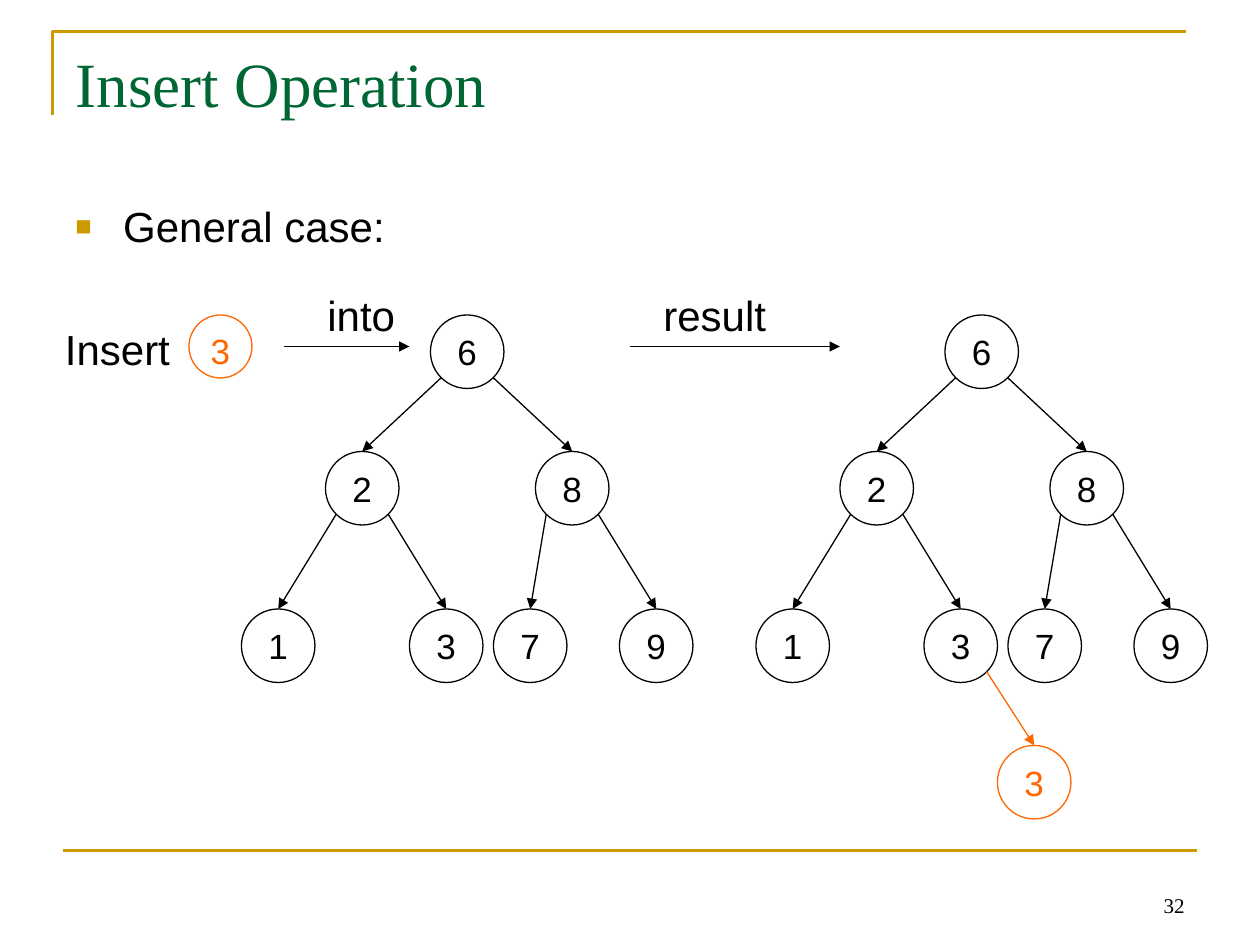
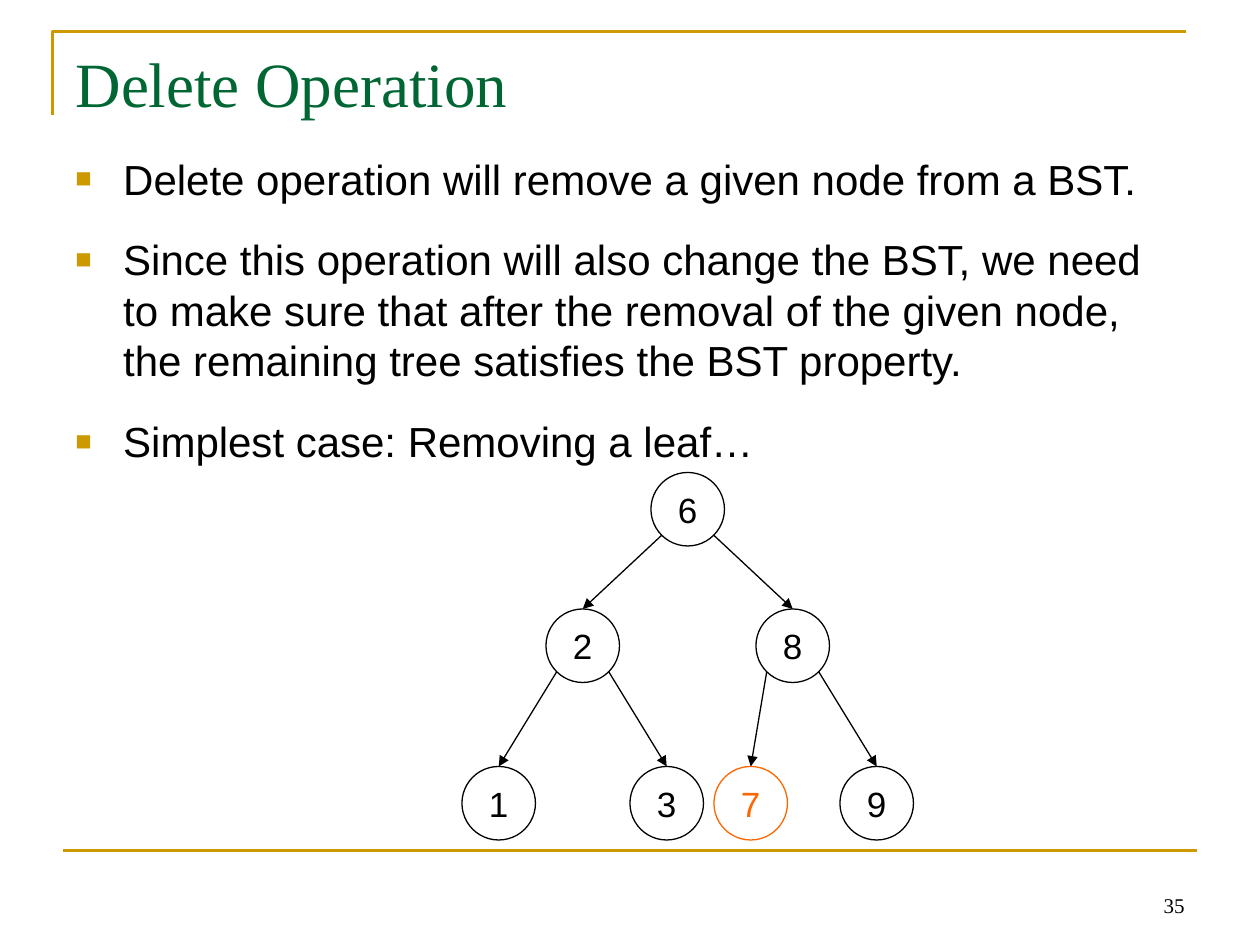
from math import sqrt
from typing import NamedTuple

from lxml import etree
from pptx import Presentation
from pptx.dml.color import RGBColor
from pptx.enum.shapes import MSO_CONNECTOR, MSO_SHAPE
from pptx.enum.text import MSO_ANCHOR, PP_ALIGN
from pptx.oxml.ns import qn
from pptx.util import Inches, Pt

# The slide is a grid of 120 columns and 90 rows, twelve to the inch.
CELL = Inches(1) // 12
COLUMNS, ROWS = 120, 90

GOLD = RGBColor(0xCC, 0x99, 0x00)
GREEN = RGBColor(0x00, 0x66, 0x33)
ORANGE = RGBColor(0xFF, 0x66, 0x00)
BLACK = RGBColor(0, 0, 0)
SANS, SERIF = "Arial", "Times New Roman"

NODE_SIZE = 7
BULLET_INDENT = Inches(0.38)


class Node(NamedTuple):
    """A tree node, placed in cells from the root; parent is an index."""
    value: str
    column: int
    row: int
    parent: int | None
    color: RGBColor = BLACK
    edge_color: RGBColor = BLACK


class Label(NamedTuple):
    text: str
    column: float
    row: float
    width: float


TREE = [
    Node("6", 0, 0, None),
    Node("2", -10, 13, 0),
    Node("8", 10, 13, 0),
    Node("1", -18, 28, 1),
    Node("3", -2, 28, 1),
    Node("7", 6, 28, 2),
    Node("9", 18, 28, 2),
]
INSERTED_TREE = TREE + [Node("3", 5, 41, 4, ORANGE, ORANGE)]
DELETED_TREE = [node._replace(color=ORANGE) if node.value == "7" else node
                for node in TREE]

INSERT_LABELS = [
    Label("Insert", 5, 30.25, 12.4),
    Label("into", 30, 27, 16.5),
    Label("result", 62, 27, 20),
]
DELETE_POINTS = [
    "Delete operation will remove a given node from a BST.",
    "Since this operation will also change the BST, we need to make sure that "
    "after the removal of the given node, the remaining tree satisfies the "
    "BST property.",
    "Simplest case: Removing a leaf…",
]


def cells(*counts: float) -> list[int]:
    return [round(count * CELL) for count in counts]


def style(para, size: float, color: RGBColor, font: str = SANS) -> None:
    for span in para.runs:
        span.font.size = Pt(size)
        span.font.name = font
        span.font.color.rgb = color


def add_line(slide, start: tuple, end: tuple, color: RGBColor = BLACK,
             width: float = 0.75, arrow: bool = True):
    line = slide.shapes.add_connector(
        MSO_CONNECTOR.STRAIGHT, *cells(*start, *end))
    line.line.color.rgb = color
    line.line.width = Pt(width)
    if arrow:
        etree.SubElement(line.line._get_or_add_ln(), qn("a:tailEnd"),
                         type="triangle")
    etree.SubElement(line._element.spPr, qn("a:effectLst"))
    return line


def add_text(slide, label: Label, height: float = 6, size: float = 24,
             font: str = SANS, align=PP_ALIGN.LEFT,
             anchor=MSO_ANCHOR.TOP) -> None:
    box = slide.shapes.add_textbox(
        *cells(label.column, label.row, label.width, height))
    frame = box.text_frame
    frame.word_wrap = True
    frame.vertical_anchor = anchor
    frame.text = label.text
    frame.paragraphs[0].alignment = align
    style(frame.paragraphs[0], size, BLACK, font)


def add_bullets(slide, row: float, points: list[str]) -> None:
    box = slide.shapes.add_textbox(*cells(6, row, 108, 59.5))
    frame = box.text_frame
    frame.word_wrap = True
    frame.text = "\n".join(points)
    for index, para in enumerate(frame.paragraphs):
        properties = para._p.get_or_add_pPr()
        properties.set("marL", str(BULLET_INDENT))
        properties.set("indent", str(-BULLET_INDENT))
        color = etree.SubElement(properties, qn("a:buClr"))
        etree.SubElement(color, qn("a:srgbClr"), val=str(GOLD))
        etree.SubElement(properties, qn("a:buSzPct"), val="65000")
        etree.SubElement(properties, qn("a:buFont"), typeface=SANS)
        etree.SubElement(properties, qn("a:buChar"), char="■")
        if index:
            para.space_before = Pt(17.4)
        style(para, 24, BLACK)


def add_circle(slide, text: str, column: float, row: float,
               size: float = NODE_SIZE, color: RGBColor = BLACK,
               top_inset: float = 0):
    circle = slide.shapes.add_shape(
        MSO_SHAPE.OVAL, *cells(column, row, size, size))
    circle.shadow.inherit = False
    circle.fill.background()
    circle.line.color.rgb = color
    circle.line.width = Pt(0.75)
    frame = circle.text_frame
    frame.margin_left = frame.margin_right = frame.margin_bottom = 0
    frame.margin_top = Inches(top_inset)
    frame.word_wrap = False
    frame.vertical_anchor = MSO_ANCHOR.MIDDLE
    frame.text = text
    frame.paragraphs[0].alignment = PP_ALIGN.CENTER
    style(frame.paragraphs[0], 20, color)
    return circle


def add_tree(slide, column: float, row: float, nodes: list[Node]) -> None:
    """Draw the nodes, and an arrow from each parent's lower flank."""
    radius = NODE_SIZE / 2
    diagonal = radius / sqrt(2)
    for node in nodes:
        circle = add_circle(slide, node.value, column + node.column,
                            row + node.row, color=node.color)
        if node.parent is None:
            continue
        parent = nodes[node.parent]
        side = -1 if node.column < parent.column else 1
        start = (column + parent.column + radius + side * diagonal,
                 row + parent.row + radius + diagonal)
        end = (column + node.column + radius, row + node.row)
        add_line(slide, start, end, node.edge_color).end_connect(circle, 0)


def add_slide(deck, title: str, number: int):
    """Add a slide with the shared frame, title and page number."""
    slide = deck.slides.add_slide(deck.slide_layouts[5])
    builder = slide.shapes.build_freeform(5, 11, scale=CELL)
    builder.add_line_segments([(5, 3), (113, 3)], close=False)
    corner = builder.convert_to_shape()
    corner.shadow.inherit = False
    corner.fill.background()
    corner.line.color.rgb = GOLD
    corner.line.width = Pt(1.5)
    add_line(slide, (6, 81), (114, 81), GOLD, 1.5, arrow=False)

    heading = slide.shapes.title
    heading.left, heading.top, heading.width, heading.height = cells(
        6, 3.6, 108, 15)
    frame = heading.text_frame
    frame.text = title
    frame.vertical_anchor = MSO_ANCHOR.TOP
    frame.paragraphs[0].alignment = PP_ALIGN.LEFT
    style(frame.paragraphs[0], 36, GREEN, SERIF)

    add_text(slide, Label(str(number), 86, 82, 28), size=12, font=SERIF,
             align=PP_ALIGN.RIGHT, anchor=MSO_ANCHOR.BOTTOM)
    return slide


def add_insert_slide(deck) -> None:
    slide = add_slide(deck, "Insert Operation", 32)
    add_bullets(slide, 18.5, ["General case:"])
    for label in INSERT_LABELS:
        add_text(slide, label)
    add_circle(slide, "3", 18, 30, size=6, color=ORANGE, top_inset=0.06)
    for start, end in ((27, 39), (60, 80)):
        add_line(slide, (start, 33), (end, 33))
    add_tree(slide, 41, 30, TREE)
    add_tree(slide, 90, 30, INSERTED_TREE)


def add_delete_slide(deck) -> None:
    slide = add_slide(deck, "Delete Operation", 35)
    add_bullets(slide, 14, DELETE_POINTS)
    add_tree(slide, 62, 45, DELETED_TREE)


def main() -> None:
    deck = Presentation()
    deck.slide_width, deck.slide_height = cells(COLUMNS, ROWS)
    add_insert_slide(deck)
    add_delete_slide(deck)
    deck.save("out.pptx")


if __name__ == "__main__":
    main()
